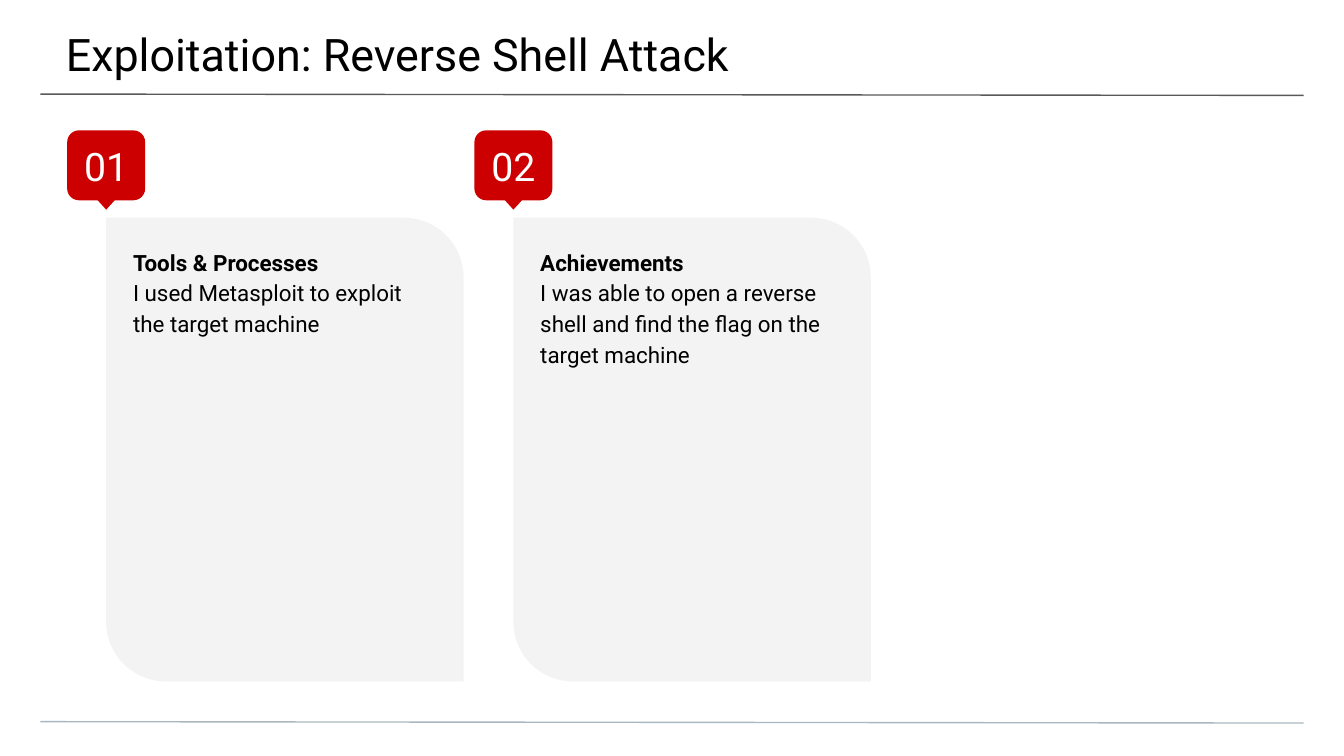
from dataclasses import dataclass
from typing import Any

from lxml.etree import SubElement
from pptx import Presentation
from pptx.dml.color import RGBColor
from pptx.enum.shapes import MSO_CONNECTOR, MSO_SHAPE
from pptx.enum.text import MSO_ANCHOR, PP_ALIGN
from pptx.oxml.ns import qn
from pptx.util import Inches, Pt


@dataclass(frozen=True)
class Theme:
    font: str = "Roboto"
    text: str = "000000"
    badge: str = "CC0000"
    badge_text: str = "FFFFFF"
    card: str = "F3F3F3"
    header_rule: str = "595959"
    footer_rule: str = "A9B7C0"
    title_size: float = 24
    badge_size: float = 21
    body_size: float = 12
    rule_width: float = 0.75
    line_spacing: float = 1.15
    corner: float = 0.167


@dataclass(frozen=True)
class Box:
    left: float
    top: float
    width: float
    height: float

    def lengths(self) -> tuple[int, ...]:
        return tuple(Inches(v) for v in (self.left, self.top, self.width, self.height))


@dataclass(frozen=True)
class Grid:
    """Columns of cards, each with a badge hanging over its left edge."""
    left: float = 0.79
    pitch: float = 3.03
    card_top: float = 1.62
    card_width: float = 2.66
    card_height: float = 3.45
    badge_top: float = 0.97
    badge_width: float = 0.58
    badge_height: float = 0.52
    pointer_top: float = 1.4
    pointer_width: float = 0.29
    pointer_height: float = 0.16

    def card(self, column: int) -> Box:
        return Box(self.left + column * self.pitch, self.card_top,
                   self.card_width, self.card_height)

    def badge(self, column: int) -> Box:
        return self.centred(column, self.badge_top, self.badge_width, self.badge_height)

    def pointer(self, column: int) -> Box:
        return self.centred(column, self.pointer_top, self.pointer_width, self.pointer_height)

    def centred(self, column: int, top: float, width: float, height: float) -> Box:
        """A box centred on the left edge of the column's card."""
        return Box(self.card(column).left - width / 2, top, width, height)


@dataclass(frozen=True)
class Section:
    heading: str
    detail: str


THEME = Theme()
GRID = Grid()
WIDTH = 10
HEIGHT = WIDTH * 9 / 16
MARGIN = 0.03 * WIDTH
TITLE = "Exploitation: Reverse Shell Attack"
SECTIONS = (
    Section("Tools & Processes", "I used Metasploit to exploit the target machine"),
    Section("Achievements",
            "I was able to open a reverse shell and find the flag on the target machine"),
)


def set_insets(frame: Any, left: float, top: float, right: float, bottom: float) -> None:
    frame.word_wrap = True
    frame.margin_left, frame.margin_top = Inches(left), Inches(top)
    frame.margin_right, frame.margin_bottom = Inches(right), Inches(bottom)


def add_run(paragraph: Any, text: str, size: float, color: str, bold: bool = False) -> None:
    run = paragraph.add_run()
    run.text = text
    run.font.name = THEME.font
    run.font.size = Pt(size)
    run.font.bold = bold
    run.font.color.rgb = RGBColor.from_string(color)


def add_filled(shapes: Any, kind: MSO_SHAPE, box: Box, color: str) -> Any:
    shape = shapes.add_shape(kind, *box.lengths())
    shape.shadow.inherit = False
    shape.fill.solid()
    shape.fill.fore_color.rgb = RGBColor.from_string(color)
    shape.line.fill.background()
    return shape


def add_rule(shapes: Any, top: float, color: str) -> None:
    """A full-width rule that falls very slightly to the right."""
    rule = shapes.add_connector(MSO_CONNECTOR.STRAIGHT, Inches(MARGIN), Inches(top),
                                Inches(WIDTH - MARGIN), Inches(top + 0.01))
    rule.line.color.rgb = RGBColor.from_string(color)
    rule.line.width = Pt(THEME.rule_width)
    SubElement(rule._element.spPr, qn("a:effectLst"))


def add_title(shapes: Any, text: str) -> None:
    frame = shapes.add_textbox(*Box(-0.01, 0, WIDTH + 0.03, 0.58).lengths()).text_frame
    set_insets(frame, 0.5, 0.2, 0.3, 0.1)
    add_run(frame.paragraphs[0], text, THEME.title_size, THEME.text)


def add_card(shapes: Any, column: int, section: Section) -> None:
    box = GRID.card(column)
    card = add_filled(shapes, MSO_SHAPE.ROUND_2_DIAG_RECTANGLE, box, THEME.card)
    card.adjustments[0], card.adjustments[1] = 0, THEME.corner

    frame = shapes.add_textbox(*box.lengths()).text_frame
    set_insets(frame, 0.2, 0.2, 0.2, 0.2)
    heading, detail = frame.paragraphs[0], frame.add_paragraph()
    heading.line_spacing = detail.line_spacing = THEME.line_spacing
    add_run(heading, section.heading, THEME.body_size, THEME.text, bold=True)
    add_run(detail, section.detail, THEME.body_size, THEME.text)


def add_badge(shapes: Any, column: int) -> None:
    group = shapes.add_group_shape().shapes
    badge = add_filled(group, MSO_SHAPE.ROUNDED_RECTANGLE, GRID.badge(column), THEME.badge)
    badge.adjustments[0] = THEME.corner
    frame = badge.text_frame
    set_insets(frame, 0.1, 0.1, 0.1, 0.1)
    frame.vertical_anchor = MSO_ANCHOR.MIDDLE
    number = frame.paragraphs[0]
    number.alignment = PP_ALIGN.CENTER
    add_run(number, f"{column + 1:02}", THEME.badge_size, THEME.badge_text)

    pointer = add_filled(group, MSO_SHAPE.FLOWCHART_EXTRACT, GRID.pointer(column), THEME.badge)
    pointer.rotation = 180


def main() -> None:
    deck = Presentation()
    deck.slide_width, deck.slide_height = Inches(WIDTH), Inches(HEIGHT)
    shapes = deck.slides.add_slide(deck.slide_layouts[6]).shapes

    add_rule(shapes, 0.7, THEME.header_rule)
    add_rule(shapes, 5.37, THEME.footer_rule)
    add_title(shapes, TITLE)
    for column, section in enumerate(SECTIONS):
        add_card(shapes, column, section)
        add_badge(shapes, column)

    deck.save("out.pptx")


if __name__ == "__main__":
    main()
